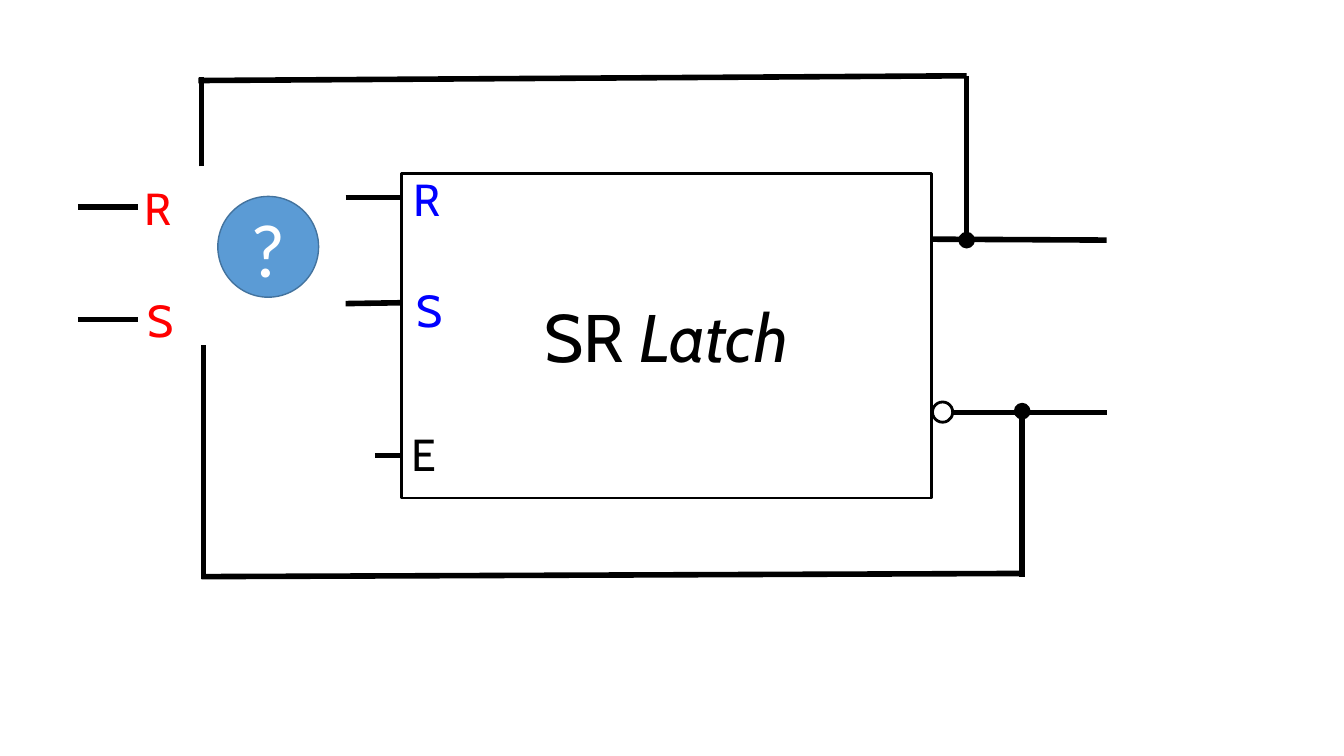
from lxml.etree import SubElement
from pptx import Presentation
from pptx.dml.color import RGBColor
from pptx.enum.shapes import MSO_CONNECTOR as Connector, MSO_SHAPE as Shape
from pptx.enum.text import MSO_ANCHOR as Anchor, MSO_AUTO_SIZE as AutoSize, PP_ALIGN as Align
from pptx.oxml.ns import qn
from pptx.util import Cm, Pt

BLACK = RGBColor(0, 0, 0)
WHITE = RGBColor(255, 255, 255)
RED = RGBColor(255, 0, 0)
BLUE = RGBColor(0, 0, 255)
DISC_BLUE = RGBColor(0x5B, 0x9B, 0xD5)
DISC_EDGE = RGBColor(0x43, 0x73, 0x9E)

OUTPUT_END = 27.89
Q_TAP, Q_Y, TOP_Y = 24.36, 6.05, 1.91
NOT_Q_TAP, NOT_Q_Y, BOTTOM_Y = 25.76, 10.36, 14.45
INPUT_START, INPUT_END = 1.96, 3.48

WIRES = [
    (22.2, 6.02, OUTPUT_END, Q_Y),
    (22.28, 10.39, OUTPUT_END, 10.39),
    (8.71, 4.98, 10.24, 4.98),
    (8.71, 7.65, 10.67, 7.62),
    (9.45, 11.48, 13.26, 11.48),
    (5, 2.03, Q_TAP, TOP_Y),
    (5.08, 4.19, 5.08, 1.93),
    (5.08, 14.53, NOT_Q_TAP, BOTTOM_Y),
    (5.13, 14.6, 5.13, 8.69),
    (INPUT_START, 5.21, INPUT_END, 5.21),
    (INPUT_START, 8.05, INPUT_END, 8.05),
]
TAPPED_WIRES = [
    (Q_TAP, TOP_Y, Q_TAP, Q_Y),
    (NOT_Q_TAP, 14.53, NOT_Q_TAP, NOT_Q_Y),
]
SHAPES = [
    (Shape.OVAL, (23.5, 10.13, 0.51, 0.51), WHITE, BLACK, 2, [], None, None, None),
    (Shape.RECTANGLE, (10.11, 4.37, 13.36, 8.18), WHITE, BLACK, 2,
     [("SR ", False), ("Latch", True)], "Cabin", 48, BLACK),
    (Shape.OVAL, (5.49, 4.95, 2.54, 2.54), DISC_BLUE, DISC_EDGE, 1,
     [("?", False)], "Calibri", 54, WHITE),
]
LABELS = [
    ("R", 10.16, 4.19, 1.19, BLUE),
    ("S", 10.24, 7.01, 1.12, BLUE),
    ("E", 10.11, 10.64, 1.12, BLACK),
    ("R", 3.4, 4.42, 1.19, RED),
    ("S", 3.48, 7.24, 1.12, RED),
]
LABEL_HEIGHT = 1.63


def add_run(paragraph, text, name, size, color, italic=False):
    run = paragraph.add_run()
    run.text = text
    run.font.name = name
    run.font.size = Pt(size)
    run.font.italic = italic
    run.font.color.rgb = color


def add_wire(slide, ends, tapped=False):
    wire = slide.shapes.add_connector(Connector.STRAIGHT, *map(Cm, ends))
    wire.line.color.rgb = BLACK
    wire.line.width = Pt(4)
    properties = wire._element.spPr
    if tapped:
        SubElement(properties.find(qn("a:ln")), qn("a:tailEnd"), type="oval")
    SubElement(properties, qn("a:effectLst"))


def add_part(slide, kind, box, fill, edge, width, runs, name, size, color):
    shape = slide.shapes.add_shape(kind, *map(Cm, box))
    shape.shadow.inherit = False
    shape.fill.solid()
    shape.fill.fore_color.rgb = fill
    shape.line.color.rgb = edge
    shape.line.width = Pt(width)
    shape.text_frame.vertical_anchor = Anchor.MIDDLE
    paragraph = shape.text_frame.paragraphs[0]
    paragraph.alignment = Align.CENTER
    for text, italic in runs:
        add_run(paragraph, text, name, size, color, italic)


def add_label(slide, text, left, top, width, color):
    label = slide.shapes.add_textbox(Cm(left), Cm(top), Cm(width), Cm(LABEL_HEIGHT))
    label.text_frame.word_wrap = False
    label.text_frame.auto_size = AutoSize.SHAPE_TO_FIT_TEXT
    add_run(label.text_frame.paragraphs[0], text, "Cabin", 32, color)


def main():
    presentation = Presentation()
    presentation.slide_width = Cm(33.87)
    presentation.slide_height = Cm(19.05)
    slide = presentation.slides.add_slide(presentation.slide_layouts[6])
    for ends in WIRES:
        add_wire(slide, ends)
    for ends in TAPPED_WIRES:
        add_wire(slide, ends, tapped=True)
    for part in SHAPES:
        add_part(slide, *part)
    for label in LABELS:
        add_label(slide, *label)
    presentation.save("out.pptx")


if __name__ == "__main__":
    main()
